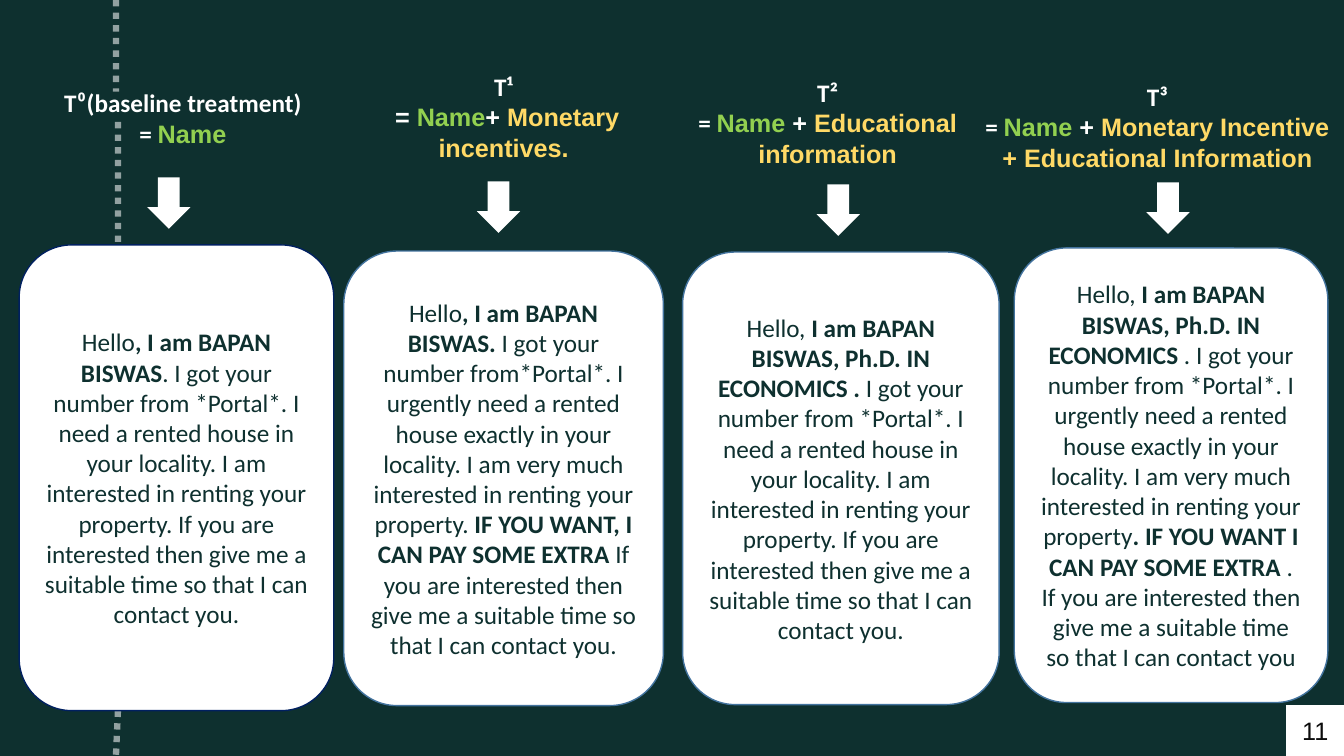
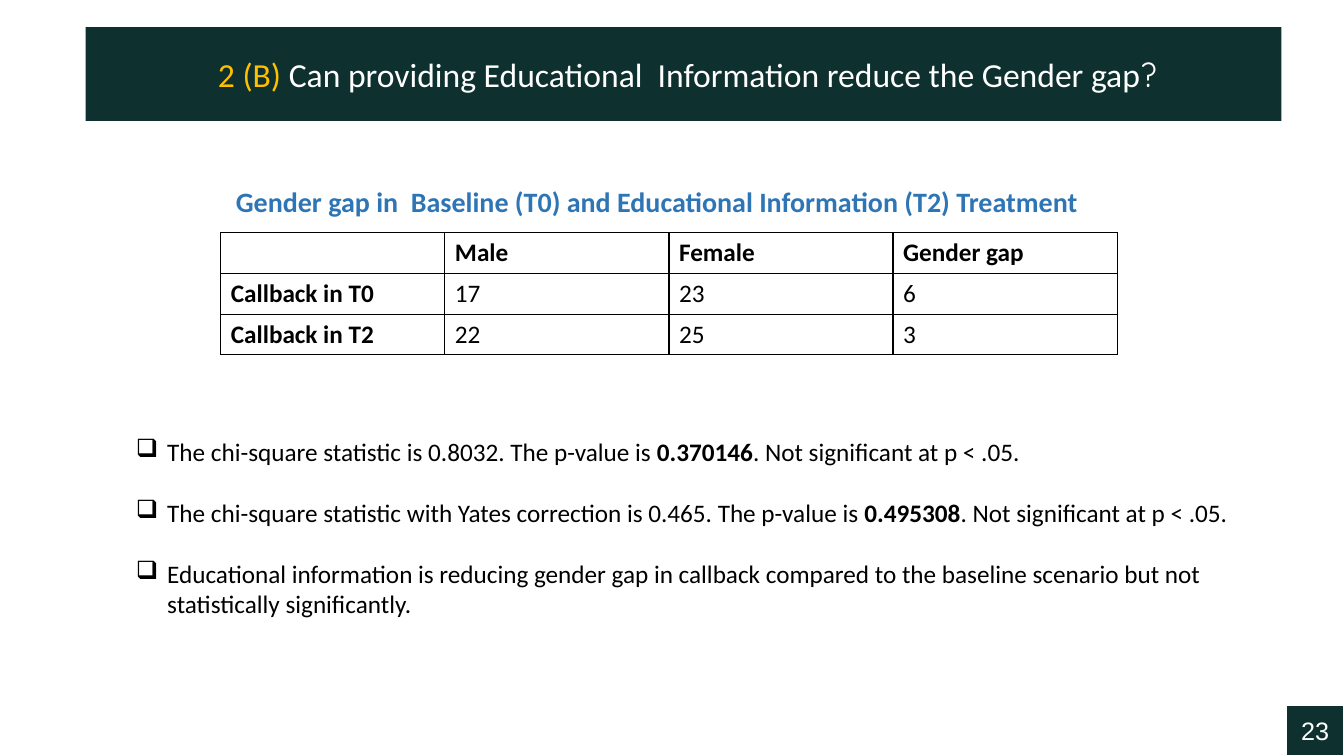
from dataclasses import dataclass

from lxml.etree import SubElement
from pptx import Presentation
from pptx.dml.color import RGBColor
from pptx.enum.dml import MSO_LINE
from pptx.enum.shapes import MSO_CONNECTOR, MSO_SHAPE
from pptx.enum.text import MSO_ANCHOR, PP_ALIGN
from pptx.oxml import parse_xml
from pptx.oxml.ns import nsdecls, qn
from pptx.util import Inches, Pt


@dataclass(frozen=True)
class Theme:
    """Colours, fonts and type sizes shared by the slides."""

    dark: str = "0E302F"
    white: str = "FFFFFF"
    black: str = "000000"
    ink: str = "0D0D0D"
    green: str = "92D050"
    yellow: str = "FFD966"
    amber: str = "FFC000"
    blue: str = "2E75B6"
    card_line: str = "43739E"
    baseline_line: str = "002060"
    body_font: str = "Calibri"
    accent_font: str = "Arial"
    mark_font: str = "Quicksand"
    body_size: int = 18
    caption_size: int = 20
    title_size: int = 24


THEME = Theme()

CLOSING = "If you are interested then give me a suitable time so that I can contact you"
PLAIN_REQUEST = (
    "I got your number from *Portal*. I need a rented house in your locality. "
    f"I am interested in renting your property. {CLOSING}."
)
URGENT_REQUEST = (
    "I urgently need a rented house exactly in your locality. "
    "I am very much interested in renting your property"
)
EQUALS = ("= ", THEME.white, THEME.body_font)
NAME = ("Name", THEME.green, THEME.accent_font)
PLUS = (" + ", THEME.white, THEME.accent_font)


@dataclass(frozen=True)
class Treatment:
    """One treatment column: heading, arrow and message card."""

    label: str
    formula: tuple
    message: tuple
    heading_box: tuple
    arrow_at: tuple
    card_box: tuple
    card_line: str = THEME.card_line


TREATMENTS = (
    Treatment(
        "T⁰(baseline treatment)",
        (EQUALS, NAME),
        ("Hello", ", I am BAPAN BISWAS", f". {PLAIN_REQUEST}"),
        (0.28, 0.82, 3.07, 0.75),
        (1.46, 1.76),
        (0.19, 2.43, 3.12, 4.62),
        THEME.baseline_line,
    ),
    Treatment(
        "T¹",
        (
            (" = ", THEME.white, THEME.accent_font),
            NAME,
            ("+ ", THEME.white, THEME.accent_font),
            ("Monetary incentives.", THEME.yellow, THEME.accent_font),
        ),
        (
            "Hello",
            ", I am BAPAN BISWAS. ",
            f"I got your number from*Portal*. {URGENT_REQUEST}. ",
            "IF YOU WANT, I CAN PAY SOME EXTRA ",
            f"{CLOSING}.",
        ),
        (3.15, 0.66, 3.69, 1.05),
        (4.73, 1.8),
        (3.41, 2.49, 3.17, 4.51),
    ),
    Treatment(
        "T²",
        (EQUALS, NAME, PLUS,
         ("Educational information", THEME.yellow, THEME.accent_font)),
        ("Hello, ", "I am BAPAN BISWAS, Ph.D. IN ECONOMICS . ", PLAIN_REQUEST),
        (6.26, 0.72, 3.9, 1.05),
        (8.1, 1.83),
        (6.77, 2.5, 3.14, 4.49),
    ),
    Treatment(
        "T³",
        (EQUALS, NAME, PLUS,
         ("Monetary Incentive + Educational Information",
          THEME.yellow, THEME.accent_font)),
        (
            "Hello, ",
            "I am BAPAN BISWAS, Ph.D. IN ECONOMICS ",
            f". I got your number from *Portal*. {URGENT_REQUEST}",
            ". IF YOU WANT I CAN PAY SOME EXTRA ",
            f". {CLOSING}",
        ),
        (9.63, 0.76, 3.7, 1.05),
        (11.37, 1.81),
        (10.06, 2.46, 3.11, 4.51),
    ),
)

DOTTED_LINES = (
    (1.15, 0, 1.15, 0.91),
    (1.17, 1.21, 1.17, 2.45),
    (1.17, 7.05, 1.15, 7.5),
)

CALLBACKS = (
    ("", "Male", "Female", "Gender gap"),
    ("Callback in T0", "17", "23", "6"),
    ("Callback in T2", "22", "25", "3"),
)

FINDINGS = (
    ("The chi-square statistic is 0.8032. The p-value is ",
     "0.370146", ". Not significant at p < .05."),
    ("The chi-square statistic with Yates correction is 0.465. The p-value is",
     " 0.495308", ". Not significant at p < .05."),
    ("Educational information is reducing gender gap in callback compared to "
     "the baseline scenario but not statistically significantly.",),
)


def rgb(value):
    """Return a colour from its hexadecimal text."""
    return RGBColor.from_string(value)


def write(paragraph, text, color=THEME.black, size=THEME.body_size,
          font=THEME.body_font, bold=False):
    """Append a formatted run to a paragraph."""
    run = paragraph.add_run()
    run.text = text
    run.font.name = font
    run.font.size = Pt(size)
    run.font.bold = bold
    run.font.color.rgb = rgb(color)


def write_alternating(paragraph, pieces, color):
    """Write pieces of text in turn regular and bold."""
    for index, piece in enumerate(pieces):
        write(paragraph, piece, color=color, bold=index % 2 == 1)


def add_slide(presentation, background):
    """Add a blank slide with a solid background."""
    slide = presentation.slides.add_slide(presentation.slide_layouts[6])
    slide.background.fill.solid()
    slide.background.fill.fore_color.rgb = rgb(background)
    return slide


def add_block(slide, kind, box, fill, line=None):
    """Add a filled shape and return its centred first paragraph."""
    shape = slide.shapes.add_shape(kind, *map(Inches, box))
    shape.shadow.inherit = False
    shape.fill.solid()
    shape.fill.fore_color.rgb = rgb(fill)
    if line:
        shape.line.color.rgb = rgb(line)
        shape.line.width = Pt(1)
    else:
        shape.line.fill.background()
    shape.text_frame.word_wrap = True
    shape.text_frame.vertical_anchor = MSO_ANCHOR.MIDDLE
    paragraph = shape.text_frame.paragraphs[0]
    paragraph.alignment = PP_ALIGN.CENTER
    return paragraph


def add_text_frame(slide, box):
    """Add a wrapping text box and return its text frame."""
    frame = slide.shapes.add_textbox(*map(Inches, box)).text_frame
    frame.word_wrap = True
    return frame


def add_dotted_line(slide, ends):
    """Add a translucent dotted line."""
    connector = slide.shapes.add_connector(MSO_CONNECTOR.STRAIGHT, *map(Inches, ends))
    connector.line.color.rgb = rgb(THEME.white)
    connector.line.width = Pt(4.5)
    connector.line.dash_style = MSO_LINE.ROUND_DOT
    properties = connector.element.spPr
    color = properties.find(f".//{qn('a:srgbClr')}")
    SubElement(color, qn("a:alpha"), val="54000")
    SubElement(properties, qn("a:effectLst"))


def add_page_number(slide, number, fill, color):
    """Add the page number block in the bottom right corner."""
    paragraph = add_block(slide, MSO_SHAPE.RECTANGLE, (12.76, 7, 0.57, 0.5),
                          fill, line=THEME.white)
    write(paragraph, number, color=color, font=THEME.accent_font)


def add_treatment(slide, treatment):
    """Add the heading, arrow and message card of a treatment."""
    card = add_block(slide, MSO_SHAPE.ROUNDED_RECTANGLE, treatment.card_box,
                     THEME.white, line=treatment.card_line)
    write_alternating(card, treatment.message, THEME.dark)
    frame = add_text_frame(slide, treatment.heading_box)
    label, formula = frame.paragraphs[0], frame.add_paragraph()
    label.alignment = formula.alignment = PP_ALIGN.CENTER
    write(label, treatment.label, color=THEME.white, bold=True)
    for text, color, font in treatment.formula:
        write(formula, text, color=color, font=font, bold=True)
    add_block(slide, MSO_SHAPE.DOWN_ARROW, (*treatment.arrow_at, 0.43, 0.51), THEME.white)


def add_borders(cell):
    """Draw a thin black border on each side of a table cell."""
    properties = cell._tc.get_or_add_tcPr()
    for side in ("lnL", "lnR", "lnT", "lnB"):
        properties.append(parse_xml(
            f'<a:{side} {nsdecls("a")} w="{Pt(1)}"><a:solidFill>'
            f'<a:srgbClr val="{THEME.black}"/></a:solidFill></a:{side}>'
        ))


def add_grid(slide, rows, box):
    """Add a bordered table with bold first row and column."""
    table = slide.shapes.add_table(len(rows), len(rows[0]), *map(Inches, box)).table
    table.first_row = table.horz_banding = False
    for row_index, row in enumerate(rows):
        for column_index, text in enumerate(row):
            cell = table.cell(row_index, column_index)
            add_borders(cell)
            cell.fill.solid()
            cell.fill.fore_color.rgb = rgb(THEME.white)
            if text:
                write(cell.text_frame.paragraphs[0], text,
                      bold=row_index == 0 or column_index == 0)


def add_checklist(slide, items, box):
    """Add a list with hanging box bullets."""
    frame = add_text_frame(slide, box)
    for index, pieces in enumerate(items):
        paragraph = frame.add_paragraph() if index else frame.paragraphs[0]
        paragraph.space_before = Pt(22 if index else 0)
        properties = paragraph._p.get_or_add_pPr()
        properties.set("marL", str(Inches(0.31)))
        properties.set("indent", str(-Inches(0.31)))
        SubElement(properties, qn("a:buChar"), char="❑")
        write_alternating(paragraph, pieces, THEME.black)


def build_treatments(presentation):
    """Build the slide of the four treatment messages."""
    slide = add_slide(presentation, THEME.dark)
    for ends in DOTTED_LINES:
        add_dotted_line(slide, ends)
    for treatment in TREATMENTS:
        add_treatment(slide, treatment)
    add_page_number(slide, "11", THEME.white, THEME.ink)


def build_gender_gap(presentation):
    """Build the slide of the gender gap results."""
    slide = add_slide(presentation, THEME.white)
    title = add_block(slide, MSO_SHAPE.RECTANGLE, (0.85, 0.27, 11.86, 0.93), THEME.dark)
    write(title, " 2 (B) ", color=THEME.amber, size=THEME.title_size)
    write(title, "Can providing Educational  Information reduce the Gender gap",
          color=THEME.white, size=THEME.title_size)
    write(title, "?", color=THEME.white, size=THEME.title_size, font=THEME.mark_font)
    caption = add_text_frame(slide, (2.24, 1.78, 8.82, 0.44)).paragraphs[0]
    write(caption, "Gender gap in  Baseline (T0) and Educational Information (T2) Treatment",
          color=THEME.blue, size=THEME.caption_size, bold=True)
    add_grid(slide, CALLBACKS, (2.19, 2.31, 8.89, 1.21))
    add_checklist(slide, FINDINGS, (1.25, 4.28, 11.28, 2.22))
    add_page_number(slide, "23", THEME.dark, THEME.white)


def main():
    """Build and save the presentation."""
    presentation = Presentation()
    presentation.slide_width = Inches(13.33)
    presentation.slide_height = Inches(7.5)
    build_treatments(presentation)
    build_gender_gap(presentation)
    presentation.save("out.pptx")


if __name__ == "__main__":
    main()
